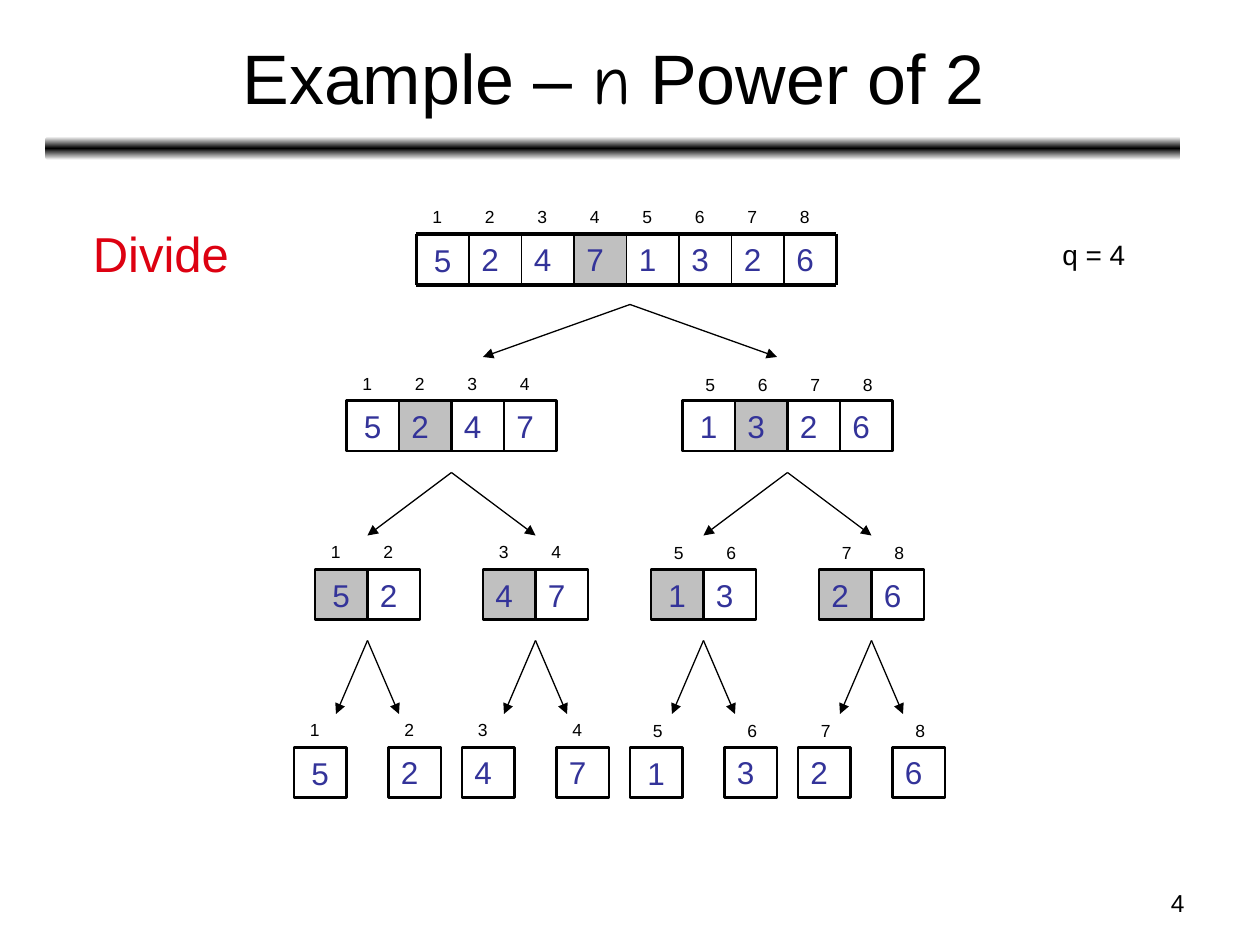
from copy import deepcopy
from dataclasses import dataclass

from lxml import etree
from pptx import Presentation
from pptx.dml.color import RGBColor
from pptx.enum import shapes, text
from pptx.oxml import ns
from pptx.util import Pt

BLACK = RGBColor(0x00, 0x00, 0x00)
WHITE = RGBColor(0xFF, 0xFF, 0xFF)
SILVER = RGBColor(0xC0, 0xC0, 0xC0)
INDIGO = RGBColor(0x33, 0x33, 0x99)
RED = RGBColor(0xDD, 0x01, 0x11)

VALUES = [5, 2, 4, 7, 1, 3, 2, 6]
CELL_WIDTH, CELL_HEIGHT = 30, 28.8
HALF_STARTS = (1, 5)


@dataclass(frozen=True)
class Level:
    top: float
    lefts: tuple[float, ...]

    @property
    def length(self) -> int:
        return len(VALUES) // len(self.lefts)


@dataclass(frozen=True)
class Fork:
    top: float
    bottom: float
    spread: float
    centers: tuple[float, ...]


LEVELS = [
    Level(133.9, (238,)),
    Level(229, (198, 390)),
    Level(325.4, (180, 276, 372, 468)),
    Level(427, (168, 222, 264, 318, 360, 414, 456, 510)),
]
FORKS = [
    Fork(174, 204, 84, (360,)),
    Fork(270, 306, 48, (258, 450)),
    Fork(366, 408, 18, (210, 306, 402, 498)),
]


def write(shape, words: str, *, size: float, color: RGBColor = BLACK,
          align=text.PP_ALIGN.LEFT, anchor=text.MSO_ANCHOR.TOP,
          inset: float = 7.2, wrap: bool = True, grow: bool = False) -> None:
    frame = shape.text_frame
    frame.word_wrap = wrap
    frame.vertical_anchor = anchor
    frame.margin_left = Pt(inset)
    frame.auto_size = (text.MSO_AUTO_SIZE.SHAPE_TO_FIT_TEXT if grow
                       else text.MSO_AUTO_SIZE.NONE)
    para = frame.paragraphs[0]
    para.alignment = align
    span = para.add_run()
    span.text = words
    span.font.name = "Arial"
    span.font.size = Pt(size)
    span.font.color.rgb = color


def add_text(page, words: str, left: float, top: float,
             width: float, height: float, **style) -> None:
    box = page.shapes.add_textbox(Pt(left), Pt(top), Pt(width), Pt(height))
    write(box, words, **style)


def add_line(page, start: tuple[float, float], end: tuple[float, float],
             width: float, arrow: bool = False) -> None:
    line = page.shapes.add_connector(
        shapes.MSO_CONNECTOR.STRAIGHT, *map(Pt, start + end))
    line.line.color.rgb = BLACK
    line.line.width = Pt(width)
    if arrow:
        etree.SubElement(line.line._get_or_add_ln(), ns.qn("a:tailEnd"), type="triangle")
    etree.SubElement(line._element.spPr, ns.qn("a:effectLst"))


def add_cell(page, value: int, left: float, top: float, *,
             shaded: bool, leading: bool, outlined: bool) -> None:
    cell = page.shapes.add_shape(
        shapes.MSO_SHAPE.RECTANGLE, Pt(left), Pt(top), Pt(CELL_WIDTH), Pt(CELL_HEIGHT))
    cell.shadow.inherit = False
    if shaded:
        cell.fill.solid()
        cell.fill.fore_color.rgb = SILVER
    else:
        cell.fill.background()
    if outlined:
        cell.line.color.rgb = BLACK
        cell.line.width = Pt(1.5)
    else:
        cell.line.fill.background()
    write(cell, str(value), size=18, color=INDIGO, inset=10 if leading else 7.2,
          anchor=text.MSO_ANCHOR.MIDDLE if leading else text.MSO_ANCHOR.TOP)


def add_array(page, first: int, length: int, left: float, top: float) -> None:
    whole = length == len(VALUES)
    last = first + length - 1
    middle = (first + last) // 2
    right_half = first >= HALF_STARTS[1]
    for index in range(first, last + 1):
        x = left + (index - first) * CELL_WIDTH
        add_text(page, str(index), x + (6 if right_half else 2),
                 top - (19 if right_half else 19.5), 18, 19.4, size=10, grow=True)
        add_cell(page, VALUES[index - 1], x, top,
                 shaded=length > 1 and index == middle,
                 leading=index == first and first in HALF_STARTS,
                 outlined=not whole)
    if whole:
        add_frame(page, left, top, length)


def add_frame(page, left: float, top: float, length: int) -> None:
    right, bottom = left + length * CELL_WIDTH, top + CELL_HEIGHT
    for y in (top, bottom):
        add_line(page, (left, y), (right, y), 2.25)
    for column in range(length + 1):
        x = left + column * CELL_WIDTH
        add_line(page, (x, top), (x, bottom), 2.25 if column in (0, length) else 1)


def add_fork(page, fork: Fork) -> None:
    for center in fork.centers:
        for shift in (-fork.spread, fork.spread):
            add_line(page, (center, fork.top), (center + shift, fork.bottom), 0.75, True)


def add_rule(page) -> None:
    bar = page.shapes.add_shape(
        shapes.MSO_SHAPE.ROUNDED_RECTANGLE, Pt(26), Pt(78), Pt(648.7), Pt(13.5))
    bar.shadow.inherit = False
    bar.line.fill.background()
    bar.fill.gradient()
    bar.fill.gradient_angle = 90
    stop_list = bar._element.spPr.find(".//" + ns.qn("a:gsLst"))
    stop_list.append(deepcopy(stop_list[0]))
    for stop, color, position in zip(
            bar.fill.gradient_stops, (WHITE, BLACK, WHITE), (0, 0.5, 1)):
        stop.color.rgb = color
        stop.position = position


def add_title(page) -> None:
    title = page.shapes.title
    title.left, title.top, title.width, title.height = map(Pt, (26.6, 8, 648, 71))
    frame = title.text_frame
    frame.vertical_anchor = text.MSO_ANCHOR.MIDDLE
    para = frame.paragraphs[0]
    para.alignment = text.PP_ALIGN.CENTER
    for words, font in (("Example – ", "Arial"), ("n", "Comic Neue"),
                        (" Power of 2", "Arial")):
        span = para.add_run()
        span.text = words
        span.font.name = font
        span.font.size = Pt(40)
        span.font.color.rgb = BLACK


def main() -> None:
    deck = Presentation()
    deck.slide_width, deck.slide_height = Pt(720), Pt(540)
    page = deck.slides.add_slide(deck.slide_layouts[5])
    add_rule(page)
    add_title(page)
    add_text(page, "4", 516, 504, 168, 25, size=14, align=text.PP_ALIGN.RIGHT)
    add_text(page, "q = 4", 600, 132, 78, 26.6, size=16, grow=True)
    for level in LEVELS:
        for order, left in enumerate(level.lefts):
            add_array(page, 1 + order * level.length, level.length, left, level.top)
    for fork in FORKS:
        add_fork(page, fork)
    add_text(page, "Divide", 46, 124, 92, 41, size=28, color=RED, wrap=False, grow=True)
    deck.save("out.pptx")


if __name__ == "__main__":
    main()
